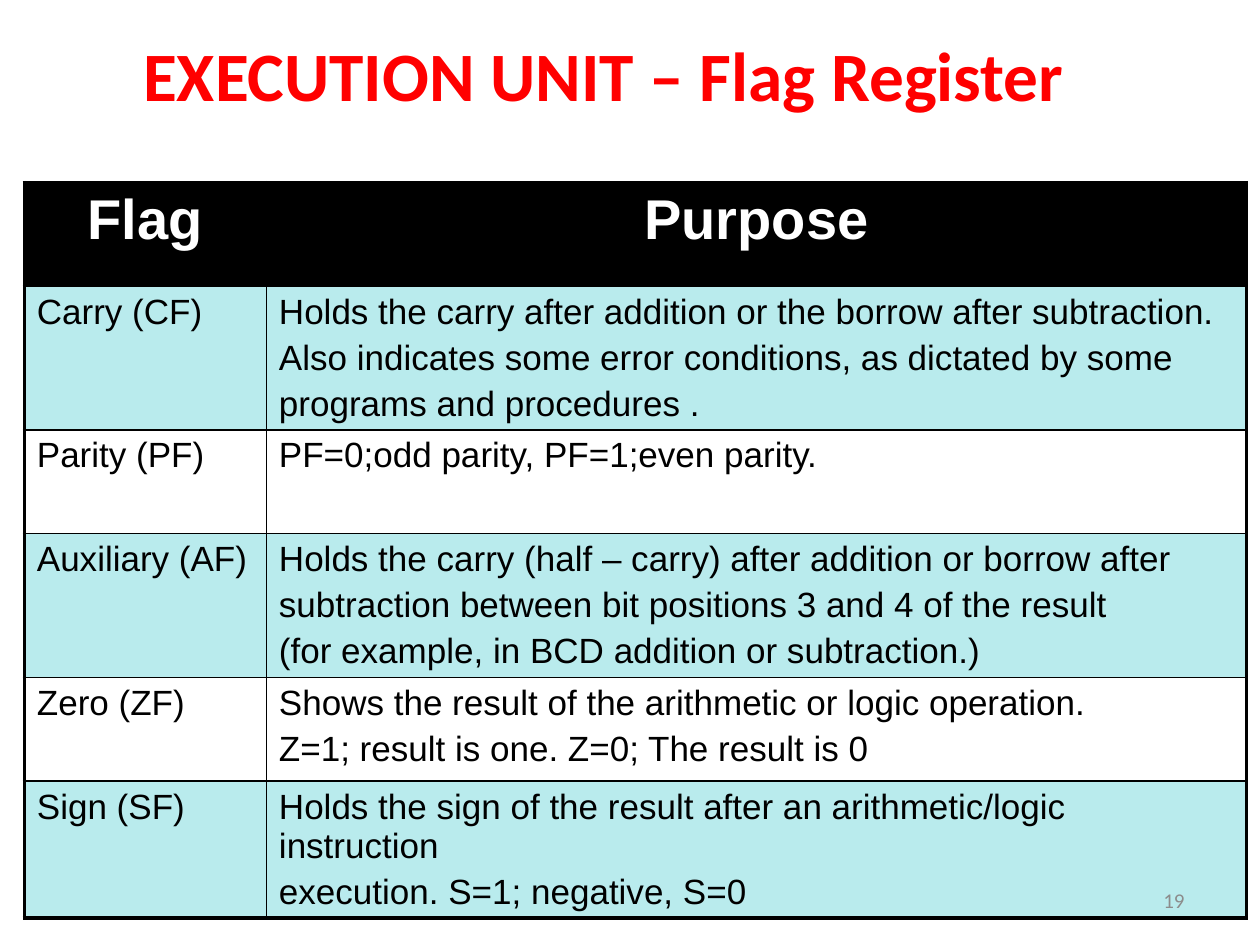
from dataclasses import dataclass

from lxml.etree import SubElement
from pptx import Presentation
from pptx.dml.color import RGBColor
from pptx.enum.text import MSO_ANCHOR, MSO_AUTO_SIZE, PP_ALIGN
from pptx.oxml import parse_xml
from pptx.oxml.ns import qn
from pptx.slide import Slide
from pptx.table import Table, _Cell
from pptx.text.text import TextFrame
from pptx.util import Cm, Pt


@dataclass(frozen=True)
class Theme:
    """Colours, fonts and type sizes of the slide."""
    title_color: str = "FF0000"
    shadow_color: str = "EEECE1"
    dark: str = "000000"
    light: str = "FFFFFF"
    band: str = "B9EBED"
    number_color: str = "8C8C8C"
    heading_font: str = "Calibri"
    table_font: str = "Arial"
    title_size: float = 39.6
    header_size: float = 32
    body_size: float = 20
    number_size: float = 12
    outer_line: float = 2.25
    inner_line: float = 1


@dataclass(frozen=True)
class Flag:
    """One flag of the register and the lines that explain it."""
    name: str
    purpose: tuple[str, ...]


THEME = Theme()
FLAGS = (
    Flag("Carry (CF)", (
        "Holds the carry after addition or the borrow after subtraction.",
        "Also indicates some error conditions, as dictated by some",
        "programs and procedures .",
    )),
    Flag("Parity (PF)", ("PF=0;odd parity, PF=1;even parity.",)),
    Flag("Auxiliary (AF)", (
        "Holds the carry (half – carry) after addition or borrow after",
        "subtraction between bit positions 3 and 4 of the result",
        "(for example, in BCD addition or subtraction.)",
    )),
    Flag("Zero (ZF)", (
        "Shows the result of the arithmetic or logic operation.",
        "Z=1; result is one. Z=0; The result is 0",
    )),
    Flag("Sign (SF)", (
        "Holds the sign of the result after an arithmetic/logic instruction",
        "execution. S=1; negative, S=0",
    )),
)


def write_text(frame: TextFrame, *lines: str, font: str, size: float, color: str,
               bold: bool = False, align: PP_ALIGN = PP_ALIGN.LEFT) -> None:
    """Write each line as a formatted paragraph of the frame."""
    frame.word_wrap = True
    for index, line in enumerate(lines):
        paragraph = frame.add_paragraph() if index else frame.paragraphs[0]
        paragraph.alignment = align
        paragraph.space_before = Pt(0.2 * size if index else 0)
        run = paragraph.add_run()
        run.text = line
        run.font.name = font
        run.font.size = Pt(size)
        run.font.bold = bold
        run.font.color.rgb = RGBColor.from_string(color)


def draw_title(slide: Slide, text: str) -> None:
    """Place the title and give its letters a pale shadow."""
    title = slide.shapes.title
    title.left, title.top, title.width, title.height = Cm(0.64), Cm(0.64), Cm(23.06), Cm(1.7)
    frame = title.text_frame
    frame.auto_size = MSO_AUTO_SIZE.NONE
    frame.vertical_anchor = MSO_ANCHOR.MIDDLE
    write_text(frame, text, font=THEME.heading_font, size=THEME.title_size,
               color=THEME.title_color, bold=True, align=PP_ALIGN.CENTER)
    properties = frame.paragraphs[0].runs[0].font.fill._xPr
    effects = parse_xml(
        '<a:effectLst xmlns:a="http://schemas.openxmlformats.org/drawingml/2006/main">'
        '<a:outerShdw blurRad="38100" dist="38100" dir="2700000" algn="tl">'
        f'<a:srgbClr val="{THEME.shadow_color}"/></a:outerShdw></a:effectLst>')
    properties.find(qn("a:solidFill")).addnext(effects)


def set_borders(cell: _Cell, left: float, right: float, top: float, bottom: float) -> None:
    """Draw the four borders of a cell with widths in points."""
    properties = cell._tc.get_or_add_tcPr()
    for side, width in (("L", left), ("R", right), ("T", top), ("B", bottom)):
        line = SubElement(properties, qn(f"a:ln{side}"), w=str(int(Pt(width))))
        SubElement(SubElement(line, qn("a:solidFill")), qn("a:srgbClr"), val=THEME.dark)


def format_cells(table: Table) -> None:
    """Frame the table, fill its header and band its rows."""
    last_row, last_column = len(table.rows) - 1, len(table.columns) - 1
    for row in range(last_row + 1):
        for column in range(last_column + 1):
            cell = table.cell(row, column)
            edges = (column == 0, column == last_column, row == 0, row == last_row)
            set_borders(cell, *(THEME.outer_line if edge else THEME.inner_line for edge in edges))
            if row and row % 2 == 0:
                cell.fill.background()
            else:
                cell.fill.solid()
                cell.fill.fore_color.rgb = RGBColor.from_string(THEME.band if row else THEME.dark)


def draw_flag_table(slide: Slide, flags: tuple[Flag, ...]) -> None:
    """Add the table of flags and their purposes."""
    widths, row_height = (Cm(4.88), Cm(19.76)), Cm(2.09)
    count = len(flags) + 1
    table = slide.shapes.add_table(count, len(widths), Cm(0.49), Cm(3.68),
                                   sum(widths), row_height * count).table
    for column, width in zip(table.columns, widths):
        column.width = width
    format_cells(table)
    for column, heading in enumerate(("Flag", "Purpose")):
        write_text(table.cell(0, column).text_frame, heading, font=THEME.table_font,
                   size=THEME.header_size, color=THEME.light, bold=True, align=PP_ALIGN.CENTER)
    for row, flag in enumerate(flags, start=1):
        for column, lines in enumerate(((flag.name,), flag.purpose)):
            write_text(table.cell(row, column).text_frame, *lines, font=THEME.table_font,
                       size=THEME.body_size, color=THEME.dark)


def draw_slide_number(slide: Slide, number: str) -> None:
    """Add the slide number at the lower right."""
    frame = slide.shapes.add_textbox(Cm(18.2), Cm(17.65), Cm(5.93), Cm(1.01)).text_frame
    frame.vertical_anchor = MSO_ANCHOR.MIDDLE
    write_text(frame, number, font=THEME.heading_font, size=THEME.number_size,
               color=THEME.number_color, align=PP_ALIGN.RIGHT)


def main() -> None:
    """Build the slide and save the presentation."""
    presentation = Presentation()
    presentation.slide_width, presentation.slide_height = Cm(25.4), Cm(19.05)
    slide = presentation.slides.add_slide(presentation.slide_layouts[5])
    draw_title(slide, "EXECUTION UNIT – Flag Register")
    draw_flag_table(slide, FLAGS)
    draw_slide_number(slide, "19")
    presentation.save("out.pptx")


if __name__ == "__main__":
    main()
